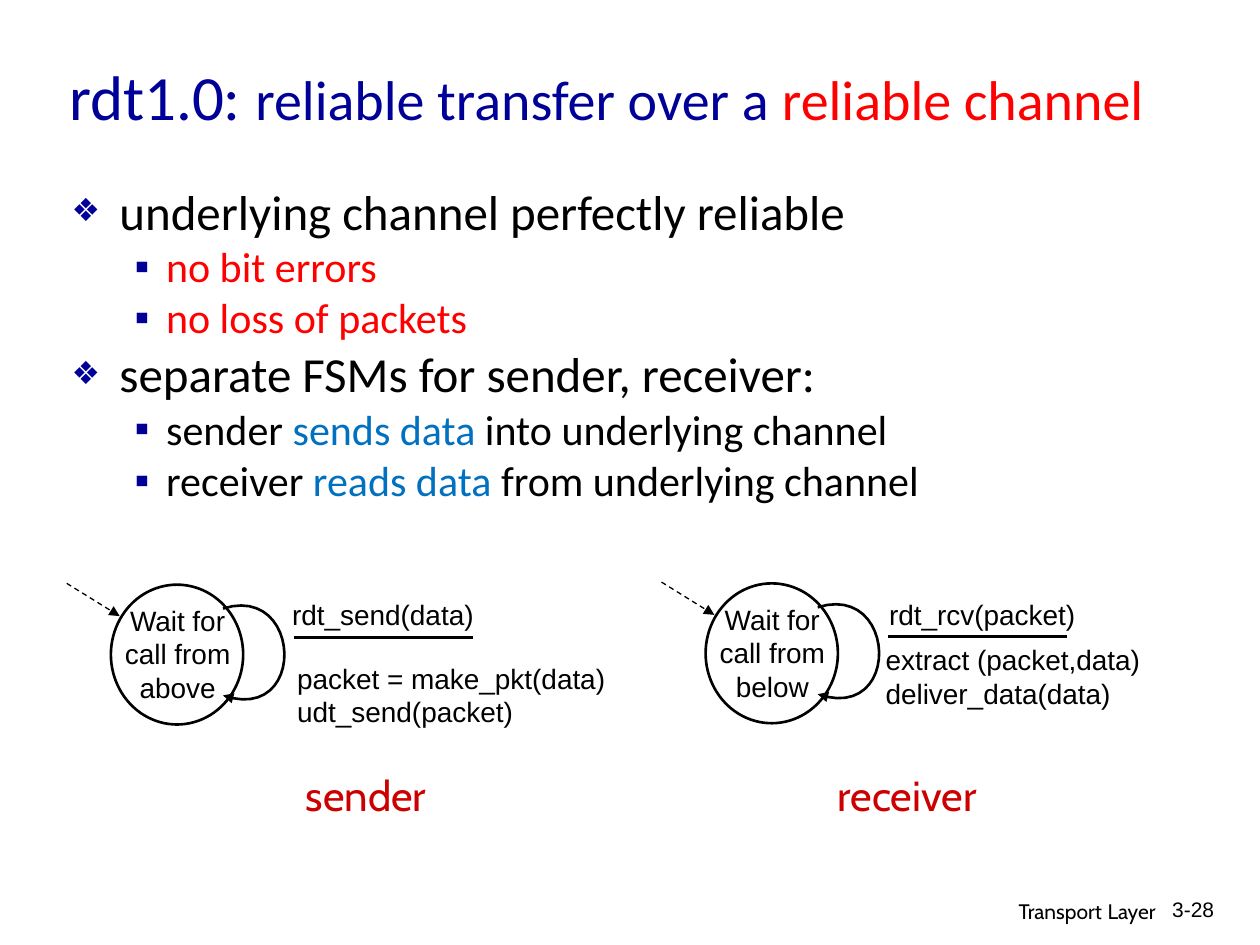
from lxml.etree import SubElement
from pptx import Presentation
from pptx.dml.color import RGBColor
from pptx.enum.dml import MSO_LINE
from pptx.enum.shapes import MSO_CONNECTOR, MSO_SHAPE
from pptx.enum.text import MSO_ANCHOR, PP_ALIGN
from pptx.oxml.ns import qn
from pptx.util import Inches, Pt

BLACK = RGBColor(0x00, 0x00, 0x00)
WHITE = RGBColor(0xFF, 0xFF, 0xFF)
NAVY = RGBColor(0x00, 0x00, 0x99)
RED = RGBColor(0xFF, 0x00, 0x00)
DARK_RED = RGBColor(0xCC, 0x00, 0x00)
BLUE = RGBColor(0x00, 0x70, 0xC0)
LOOP_STEPS = 24

BULLETS = [
    (0, [("underlying channel perfectly reliable", BLACK)]),
    (1, [("no bit errors", RED)]),
    (1, [("no loss of packets", RED)]),
    (0, [("separate FSMs for sender, receiver:", BLACK)]),
    (1, [("sender ", BLACK), ("sends data", BLUE), (" into underlying channel", BLACK)]),
    (1, [("receiver ", BLACK), ("reads data ", BLUE), ("from underlying channel", BLACK)]),
]


def add_span(para, text, size, font="Arial", color=BLACK):
    """Append one formatted run to a paragraph."""
    span = para.add_run()
    span.text = text
    span.font.size = Pt(size)
    span.font.name = font
    span.font.color.rgb = color


def add_box(page, left, top, width, height, wrap=True):
    """Add an empty text box and return its text frame."""
    box = page.shapes.add_textbox(Inches(left), Inches(top), Inches(width), Inches(height))
    box.text_frame.word_wrap = wrap
    return box.text_frame


def add_label(page, place, lines, size=16, font="Arial", color=BLACK,
              align=PP_ALIGN.LEFT, wrap=True):
    """Add a text box with one paragraph for each line."""
    frame = add_box(page, *place, wrap=wrap)
    for index, line in enumerate(lines):
        para = frame.add_paragraph() if index else frame.paragraphs[0]
        para.alignment = align
        add_span(para, line, size, font, color)


def add_title(page):
    """Add the slide title in two sizes and colours."""
    frame = add_box(page, 0.45, 0.21, 8.75, 1.1)
    frame.vertical_anchor = MSO_ANCHOR.MIDDLE
    para = frame.paragraphs[0]
    add_span(para, "rdt1.0: ", 36, "Calibri", NAVY)
    add_span(para, "reliable transfer over a ", 32, "Calibri", NAVY)
    add_span(para, "reliable channel", 32, "Calibri", RED)


def set_bullet(para, level):
    """Give a paragraph the bullet and indent of its level."""
    margin, indent, size, char = [(0.38, -0.38, 65, "❖"), (0.75, -0.25, 100, "▪")][level]
    properties = para._p.get_or_add_pPr()
    properties.set("marL", str(Inches(margin)))
    properties.set("indent", str(Inches(indent)))
    color = SubElement(properties, qn("a:buClr"))
    SubElement(color, qn("a:srgbClr"), val=str(NAVY))
    SubElement(properties, qn("a:buSzPct"), val=str(size * 1000))
    SubElement(properties, qn("a:buFont"), typeface="Arial")
    SubElement(properties, qn("a:buChar"), char=char)


def add_bullets(page):
    """Add the two-level list of points."""
    frame = add_box(page, 0.47, 1.46, 8.64, 3.3)
    for index, (level, spans) in enumerate(BULLETS):
        para = frame.add_paragraph() if index else frame.paragraphs[0]
        size = 24 if level else 28
        para.level = level
        para.line_spacing = 0.85
        para.space_before = Pt(size * 0.2)
        set_bullet(para, level)
        for text, color in spans:
            add_span(para, text, size, "Calibri", color)


def style_line(line, width=1.5, arrow=False):
    """Make an outline black, with an arrowhead at its end if wanted."""
    line.color.rgb = BLACK
    line.width = Pt(width)
    if arrow:
        SubElement(line._get_or_add_ln(), qn("a:tailEnd"), type="triangle")


def add_line(page, start, end, width=1.5, dashed_arrow=False):
    """Add a straight line, plain or as a dashed arrow."""
    ends = [Inches(value) for value in (*start, *end)]
    connector = page.shapes.add_connector(MSO_CONNECTOR.STRAIGHT, *ends)
    if dashed_arrow:
        connector.line.dash_style = MSO_LINE.DASH
    style_line(connector.line, width, dashed_arrow)
    SubElement(connector._element.spPr, qn("a:effectLst"))


def add_loop(page, left, top):
    """Add the self-transition arrow along a cubic curve."""
    controls = [(0, 0), (0.63, -0.2), (0.67, 0.92), (0, 0.69)]
    points = []
    for step in range(LOOP_STEPS + 1):
        t = step / LOOP_STEPS
        weights = ((1 - t) ** 3, 3 * t * (1 - t) ** 2, 3 * t ** 2 * (1 - t), t ** 3)
        x, y = (sum(w * c[axis] for w, c in zip(weights, controls)) for axis in (0, 1))
        points.append((Inches(left + x), Inches(top + y)))
    builder = page.shapes.build_freeform(*points[0])
    builder.add_line_segments(points[1:], close=False)
    loop = builder.convert_to_shape()
    loop.shadow.inherit = False
    loop.fill.background()
    style_line(loop.line, arrow=True)


def add_state(page, left, top, text):
    """Add a state with its entry arrow, self-transition and rule."""
    circle = page.shapes.add_shape(
        MSO_SHAPE.OVAL, Inches(left), Inches(top), Inches(1.05), Inches(1.11))
    circle.shadow.inherit = False
    circle.fill.solid()
    circle.fill.fore_color.rgb = WHITE
    style_line(circle.line)
    add_label(page, (left - 0.07, top + 0.1, 1.2, 1), [text], align=PP_ALIGN.CENTER)
    add_loop(page, left + 0.89, top + 0.19)
    add_line(page, (left + 1.45, top + 0.42), (left + 2.87, top + 0.42))
    add_line(page, (left - 0.35, top - 0.01), (left + 0.07, top + 0.25), 0.75, True)


def add_footer(page):
    """Add the chapter name and the page number."""
    para = add_box(page, 6.1, 7.05, 3.17, 0.31).paragraphs[0]
    para.alignment = PP_ALIGN.RIGHT
    for text, size in (("Transport", 12), (" ", 14), ("Layer", 12)):
        add_span(para, text, size, "Cabin")
    add_label(page, (9.1, 7.07, 0.74, 0.3), ["3-28"], 12, align=PP_ALIGN.CENTER)


def main():
    """Build the slide and save it."""
    deck = Presentation()
    deck.slide_width, deck.slide_height = Inches(10), Inches(7.5)
    page = deck.slides.add_slide(deck.slide_layouts[6])
    add_footer(page)
    add_title(page)
    add_bullets(page)
    add_state(page, 0.88, 4.64, "Wait for call from above")
    add_label(page, (2.26, 5.2, 2.93, 0.65), ["packet = make_pkt(data)", "udt_send(packet)"])
    add_label(page, (2.22, 4.69, 2.47, 0.47), ["rdt_send(data)"])
    add_state(page, 5.6, 4.63, "Wait for call from below")
    add_label(page, (6.93, 5.05, 2.72, 0.47), ["extract (packet,data)", "deliver_data(data)"])
    add_label(page, (6.95, 4.69, 1.69, 0.37), ["rdt_rcv(packet)"],
              align=PP_ALIGN.CENTER, wrap=False)
    for left, width, text in ((2.31, 1.19, "sender"), (6.52, 1.36, "receiver")):
        add_label(page, (left, 6.06, width, 0.5), [text], 24, "Cabin", DARK_RED,
                  PP_ALIGN.CENTER, wrap=False)
    deck.save("out.pptx")


if __name__ == "__main__":
    main()
